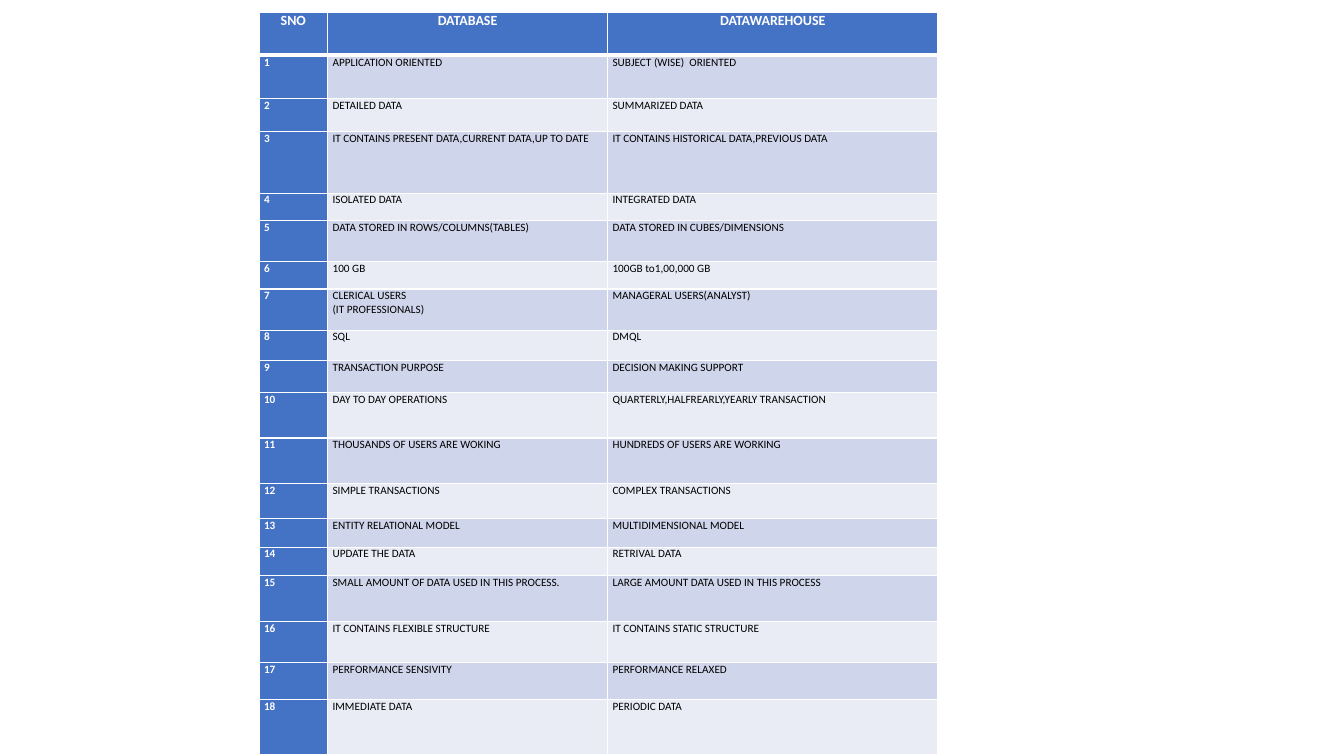
from dataclasses import dataclass

from lxml.etree import SubElement
from pptx import Presentation
from pptx.dml.color import RGBColor
from pptx.enum.text import PP_ALIGN as Align
from pptx.oxml.ns import qn
from pptx.util import Pt

HEADS = (31, "SNO", "DATABASE", "DATAWAREHOUSE")
# Row height, database, data warehouse
PAIRS = [
    (31, "APPLICATION ORIENTED", "SUBJECT (WISE)  ORIENTED"),
    (23.5, "DETAILED DATA", "SUMMARIZED DATA"),
    (44, "IT CONTAINS PRESENT DATA,CURRENT DATA,UP TO DATE",
     "IT CONTAINS HISTORICAL DATA,PREVIOUS DATA"),
    (19.5, "ISOLATED DATA", "INTEGRATED DATA"),
    (29.5, "DATA STORED IN ROWS/COLUMNS(TABLES)", "DATA STORED IN CUBES/DIMENSIONS"),
    (19.5, "100 GB", "100GB to1,00,000 GB"),
    (29.5, "CLERICAL USERS\n(IT PROFESSIONALS)", "MANAGERAL USERS(ANALYST)"),
    (21.5, "SQL", "DMQL"),
    (23, "TRANSACTION PURPOSE", "DECISION MAKING SUPPORT"),
    (32.5, "DAY TO DAY OPERATIONS", "QUARTERLY,HALFREARLY,YEARLY TRANSACTION"),
    (32.5, "THOUSANDS OF USERS ARE WOKING", "HUNDREDS OF USERS ARE WORKING"),
    (25, "SIMPLE TRANSACTIONS", "COMPLEX TRANSACTIONS"),
    (20.5, "ENTITY RELATIONAL MODEL", "MULTIDIMENSIONAL MODEL"),
    (20.5, "UPDATE THE DATA", "RETRIVAL DATA"),
    (32.5, "SMALL AMOUNT OF DATA USED IN THIS PROCESS.",
     "LARGE AMOUNT DATA USED IN THIS PROCESS"),
    (29.5, "IT CONTAINS FLEXIBLE STRUCTURE", "IT CONTAINS STATIC STRUCTURE"),
    (26.5, "PERFORMANCE SENSIVITY", "PERFORMANCE RELAXED"),
    (39.5, "IMMEDIATE DATA", "PERIODIC DATA"),
]
LEFT, TOP = 185, 8.5
WIDTHS = (49, 200, 236)


@dataclass(frozen=True)
class Theme:
    font: str = "Calibri"
    head: float = 10
    body: float = 8
    blue: str = "4472C4"
    bands: tuple = ("E9EBF5", "CFD5EA")
    white: str = "FFFFFF"
    black: str = "000000"
    thin: float = 1
    thick: float = 3


THEME = Theme()


def set_edges(cell, top, base):
    """Draw white cell borders; the fill must be set afterwards."""
    props = cell._tc.get_or_add_tcPr()
    sides = {"L": THEME.thin, "R": THEME.thin, "T": top, "B": base}
    for side, width in sides.items():
        line = SubElement(props, qn(f"a:ln{side}"), w=str(Pt(width)))
        fill = SubElement(line, qn("a:solidFill"))
        SubElement(fill, qn("a:srgbClr"), val=THEME.white)


def set_cell(cell, text, row, col):
    head = row == 0
    strong = head or col == 0
    set_edges(cell, THEME.thick if row == 1 else THEME.thin,
              THEME.thick if head else THEME.thin)
    cell.fill.solid()
    cell.fill.fore_color.rgb = RGBColor.from_string(
        THEME.blue if strong else THEME.bands[row % 2])
    cell.margin_left = cell.margin_right = Pt(3.6)
    cell.margin_top = cell.margin_bottom = 0
    cell.text_frame.text = text
    paras = cell.text_frame.paragraphs
    for para in paras:
        if head:
            para.alignment = Align.CENTER
        else:
            para.alignment = Align.JUSTIFY if len(paras) == 1 else Align.LEFT
        for run in para.runs:
            font = run.font
            font.name = THEME.font
            font.size = Pt(THEME.head if head else THEME.body)
            font.bold = strong
            font.color.rgb = RGBColor.from_string(
                THEME.white if strong else THEME.black)


def main():
    deck = Presentation()
    deck.slide_width, deck.slide_height = Pt(960), Pt(540)
    slide = deck.slides.add_slide(deck.slide_layouts[6])

    rows = [HEADS] + [(high, str(num), *pair)
                      for num, (high, *pair) in enumerate(PAIRS, 1)]
    total = sum(row[0] for row in rows)
    table = slide.shapes.add_table(
        len(rows), len(WIDTHS), Pt(LEFT), Pt(TOP), Pt(sum(WIDTHS)), Pt(total)).table
    table.first_col = True
    for col, width in zip(table.columns, WIDTHS):
        col.width = Pt(width)
    for row, (high, *texts) in enumerate(rows):
        table.rows[row].height = Pt(high)
        for col, text in enumerate(texts):
            set_cell(table.cell(row, col), text, row, col)

    deck.save("out.pptx")


if __name__ == "__main__":
    main()
